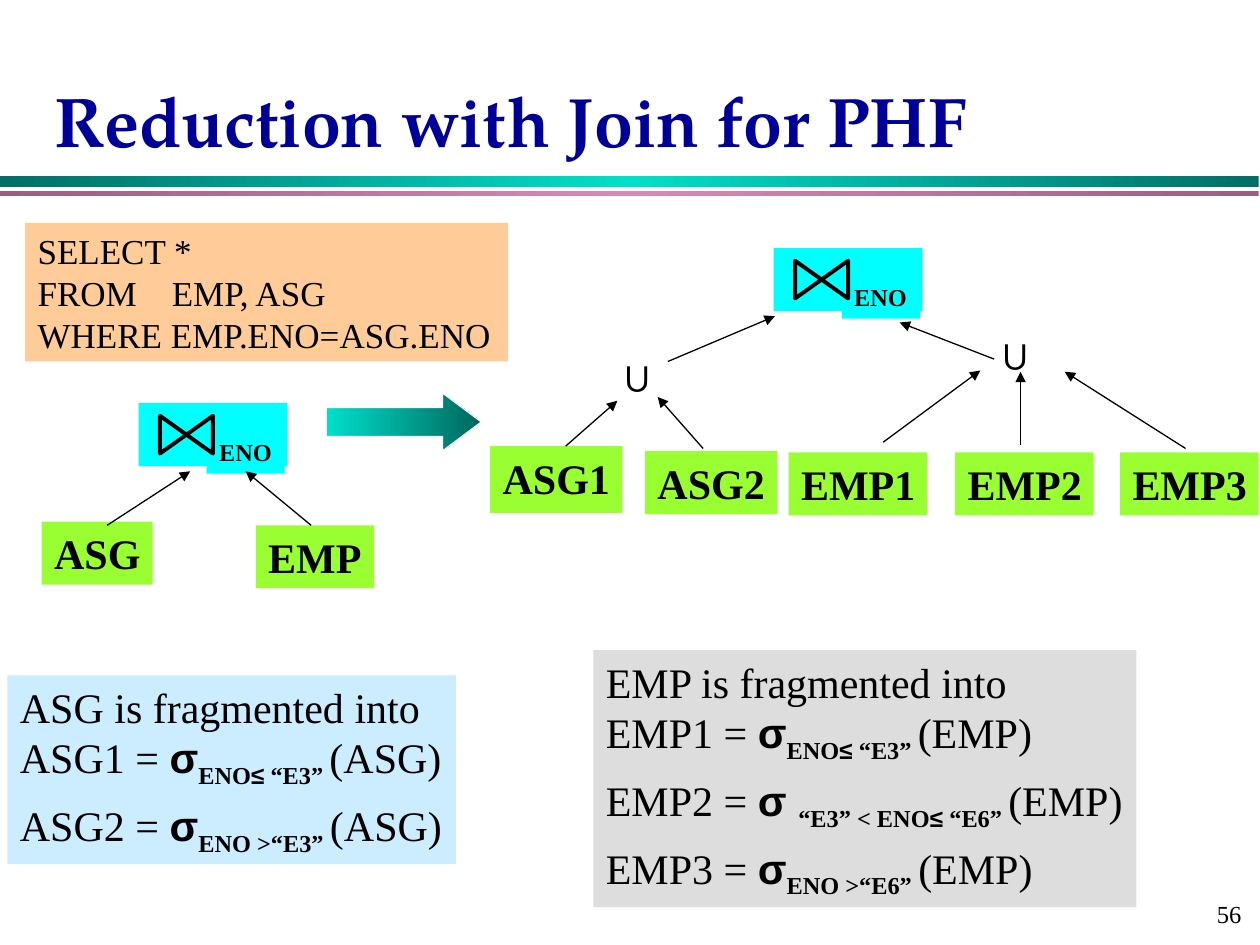
from lxml import etree
from pptx import Presentation
from pptx.dml.color import RGBColor
from pptx.enum import shapes as sh, text as tx
from pptx.oxml.ns import qn
from pptx.util import Pt

BLACK = RGBColor(0, 0, 0)
WHITE = RGBColor(255, 255, 255)
NAVY = RGBColor(0, 0, 0x99)
CYAN = RGBColor(0, 0xFF, 0xFF)
LIME = RGBColor(0x99, 0xFF, 0x33)
PEACH = RGBColor(0xFF, 0xCC, 0x99)
SKY = RGBColor(0xCC, 0xEC, 0xFF)
GREY = RGBColor(0xDD, 0xDD, 0xDD)
TEAL = RGBColor(0, 0x6F, 0x65)
DEEP = RGBColor(0, 0x67, 0x5D)
AQUA = RGBColor(0, 0xDF, 0xCA)
PLUM = RGBColor(0x97, 0x60, 0x80)
PINK = RGBColor(0xD9, 0x89, 0xB8)
SERIF, SANS, HEAD = "Times New Roman", "Arial", "TeX Gyre Pagella"

# Run styles: font, bold, lowered
PLAIN = (SERIF, False, False)
BOLD = (SERIF, True, False)
SIGN = (SANS, True, False)
SUB = (SERIF, True, True)
SUBSIGN = (SANS, True, True)

TITLE = "Reduction with Join for PHF"
QUERY = ["SELECT *", "FROM\tEMP, ASG", "WHERE EMP.ENO=ASG.ENO"]


def rule(name, sign, cond, table):
    """Runs of one fragment definition; cond is split at its ≤ sign."""
    runs = [(name + " = ", PLAIN), (sign, SIGN)]
    for i, part in enumerate(cond.split("≤")):
        runs += [("≤", SUBSIGN)] * (i > 0) + [(part + " " * (i > 0 or "≤" not in cond), SUB)]
    return runs + [("(" + table + ")", PLAIN)]


EMP_RULES = [
    [("EMP is fragmented into", PLAIN)],
    rule("EMP1", "σ", "ENO≤ “E3”", "EMP"),
    rule("EMP2", "σ ", "“E3” < ENO≤ “E6”", "EMP"),
    rule("EMP3", "σ", "ENO >“E6”", "EMP"),
]
ASG_RULES = [
    [("ASG is fragmented into", PLAIN)],
    rule("ASG1", "σ", "ENO≤ “E3”", "ASG"),
    rule("ASG2", "σ", "ENO >“E3”", "ASG"),
]

# Tables at the leaves: name, left, top, width, height
LEAVES = [
    ("ASG1", 280.1, 254.9, 75.6, 38.2),
    ("ASG2", 368.6, 257.8, 75.6, 36),
    ("EMP1", 450.7, 258.5, 79.2, 36),
    ("EMP2", 545.8, 258.5, 79.2, 36),
    ("EMP3", 640.1, 258.5, 79.2, 36),
    ("ASG", 23.8, 298.1, 63.4, 36),
    ("EMP", 146.2, 300.2, 67.7, 36),
]
JOINS = [(442.1, 141.8), (79.2, 230.4)]
UNIONS = [(564.5, 184.3), (348.5, 196.6)]
ARROWS = [
    (381.6, 206.6, 442.8, 180.7), (568.1, 205.2, 514.1, 184.3),
    (504.7, 252.7, 560.2, 211.7), (583.2, 254.2, 583.2, 212.4),
    (677.5, 256.3, 608.4, 212.4), (323.3, 254.9, 352.8, 229),
    (401.8, 256.3, 375.8, 226.8), (61.2, 300.2, 108.7, 269.3),
    (177.8, 300.2, 140.4, 269.3),
]
BARS = [(100.8, 5.8, (TEAL, AQUA, TEAL)), (109.4, 2.9, (PLUM, PINK, PLUM))]

deck = Presentation()
deck.slide_width, deck.slide_height = Pt(720), Pt(540)
slide = deck.slides.add_slide(deck.slide_layouts[5])
parts = slide.shapes


def add_run(para, words, style, size, color=BLACK):
    face, bold, low = style
    run = para.add_run()
    run.text = words
    font = run.font
    font.name, font.size, font.bold = face, Pt(size), bold
    font.color.rgb = color
    if low:
        run._r.get_or_add_rPr().set("baseline", "-25000")


def block(box, lines, size=24, after=0, align=tx.PP_ALIGN.LEFT):
    """Fill a shape with lines of runs; after is the gap below all but the first."""
    frame = box.text_frame
    frame.word_wrap = False
    frame.vertical_anchor = tx.MSO_ANCHOR.TOP
    for i, line in enumerate(lines):
        para = frame.add_paragraph() if i else frame.paragraphs[0]
        para.alignment = align
        para.space_after = Pt(after if i else 0)
        for words, style in line:
            add_run(para, words, style, size)
    return frame


def shape(kind, x, y, w, h, color=None):
    item = parts.add_shape(kind, Pt(x), Pt(y), Pt(w), Pt(h))
    item.shadow.inherit = False
    item.line.fill.background()
    if color is not None:
        item.fill.solid()
        item.fill.fore_color.rgb = color
    return item


def rect(*args):
    return shape(sh.MSO_SHAPE.RECTANGLE, *args)


def shade(item, colors):
    """Left-to-right gradient with evenly spaced colours."""
    item.fill.gradient()
    item.fill.gradient_angle = 0
    stops = item._element.spPr.find(".//" + qn("a:gsLst"))
    for old in list(stops):
        stops.remove(old)
    for i, color in enumerate(colors):
        stop = etree.SubElement(stops, qn("a:gs"), pos=str(100000 * i // (len(colors) - 1)))
        etree.SubElement(stop, qn("a:srgbClr"), val=str(color))


def label(x, y, w, h, lines, **kw):
    return block(parts.add_textbox(Pt(x), Pt(y), Pt(w), Pt(h)), lines, **kw)


def arrow(x1, y1, x2, y2):
    line = parts.add_connector(sh.MSO_CONNECTOR.STRAIGHT, Pt(x1), Pt(y1), Pt(x2), Pt(y2))
    line.line.color.rgb = BLACK
    line.line.width = Pt(0.75)
    etree.SubElement(line.line._get_or_add_ln(), qn("a:tailEnd"), type="triangle")
    etree.SubElement(line._element.spPr, qn("a:effectLst"))


def join(x, y):
    """Bow-tie join sign with its lowered attribute name."""
    rect(x, y, 85, 36, CYAN)
    block(rect(x + 38.9, y, 44.6, 40.3, CYAN), [[("ENO", SUB)]])
    left, top, right, low = x + 12.2, y + 7.2, x + 42.5, y + 28.8
    pen = parts.build_freeform(Pt(left), Pt(top))
    pen.add_line_segments([(Pt(a), Pt(b)) for a, b in
                           ((left, low), (right, top), (right, low))], close=True)
    bow = pen.convert_to_shape()
    bow.shadow.inherit = False
    bow.fill.solid()
    bow.fill.fore_color.rgb = CYAN
    bow.line.color.rgb = BLACK
    bow.line.width = Pt(2.25)


for y, h, colors in BARS:
    shade(rect(0, y, 719.3, h), colors)

title = parts.title
title.left, title.top, title.width, title.height = Pt(23.8), Pt(18), Pt(666), Pt(77.8)
title.text_frame.vertical_anchor = tx.MSO_ANCHOR.BOTTOM
para = title.text_frame.paragraphs[0]
para.alignment = tx.PP_ALIGN.LEFT
add_run(para, TITLE, (HEAD, True, False), 40, NAVY)

block(rect(339.1, 371.5, 310.3, 146.9, GREY), EMP_RULES, after=6)
block(rect(4.3, 385.9, 256.3, 108, SKY), ASG_RULES, after=6)

query = block(rect(14.4, 127.4, 275.8, 79.2, PEACH), [[(q, PLAIN)] for q in QUERY], size=20)
tabs = etree.SubElement(query.paragraphs[1]._p.get_or_add_pPr(), qn("a:tabLst"))
etree.SubElement(tabs, qn("a:tab"), pos=str(Pt(76.7)), algn="l")

for name, *place in LEAVES:
    block(rect(*place, LIME), [[(name, BOLD)]])
for spot in JOINS:
    join(*spot)
for x, y in UNIONS:
    label(x, y, 33.1, 36, [[("∪", SIGN)]])
for ends in ARROWS:
    arrow(*ends)

step = shape(sh.MSO_SHAPE.RIGHT_ARROW, 186.5, 224.6, 88.6, 33.1)
step.adjustments[0], step.adjustments[1] = 0.5, 0.67
shade(step, (AQUA, DEEP))
step.line.color.rgb = WHITE
step.line.width = Pt(0.75)

page = label(566.7, 504, 149.8, 36, [[("56", PLAIN)]], size=14, align=tx.PP_ALIGN.RIGHT)
page.vertical_anchor = tx.MSO_ANCHOR.MIDDLE
page.word_wrap = True

deck.save("out.pptx")
